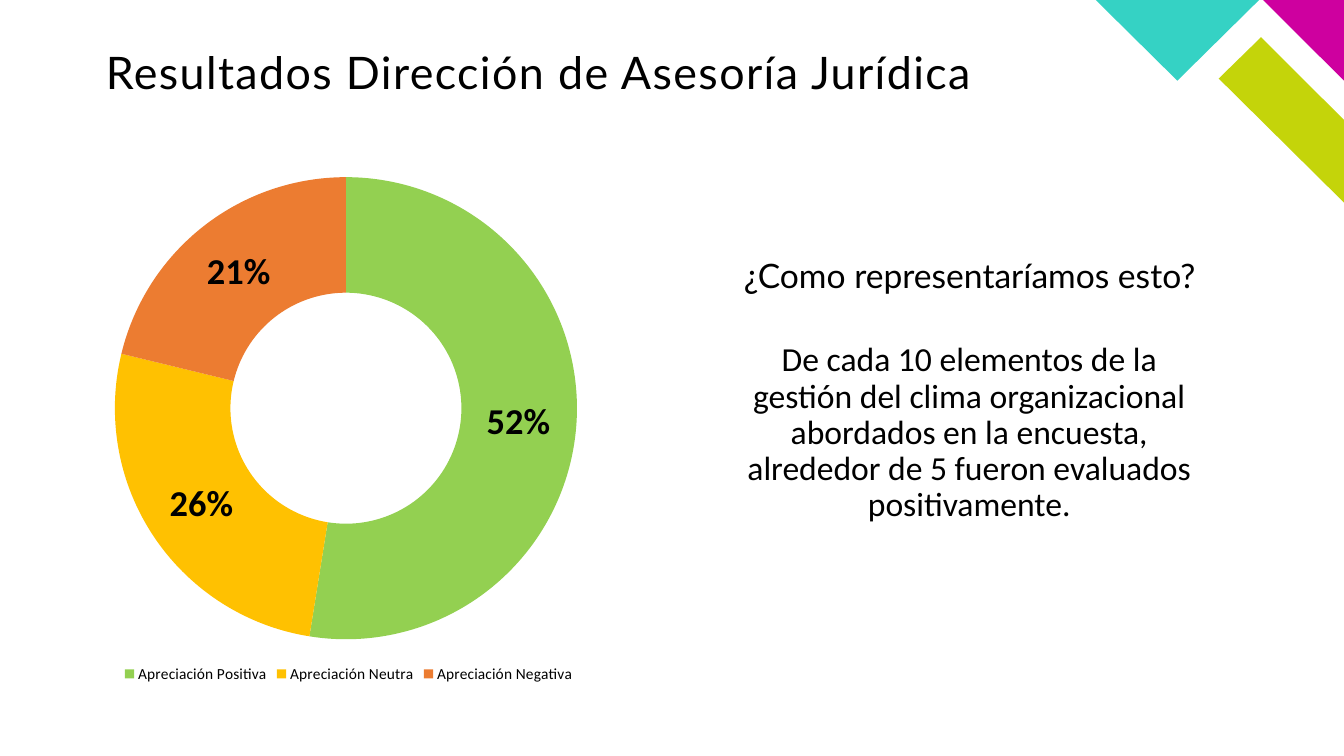
from pptx import Presentation
from pptx import util as u
from pptx.chart import data
from pptx.dml import color
from pptx.enum import chart as kinds, text

WIDE, HIGH = u.Inches(13.333), u.Inches(7.5)
INK = {"black": "000000", "teal": "35D2C4", "pink": "CE009F", "lime": "C4D40A",
       "good": "93D051", "mid": "FFC101", "bad": "EC7C31"}

# Corner bands, as points in percent of the slide's width and height
BANDS = [
    ("lime", [(100, 26.8), (100, 15.87), (93.83, 4.93), (90.68, 10.4)]),
    ("pink", [(100, 10.67), (100, 0), (93.98, 0)]),
    ("teal", [(81.53, 0), (87.6, 10.67), (93.68, 0)]),
]

# Label, share and colour of each ring part
PARTS = [
    ("Apreciación Positiva", 0.52, "good"),
    ("Apreciación Neutra", 0.26, "mid"),
    ("Apreciación Negativa", 0.21, "bad"),
]


def spot(x, y):
    """Turn percents of the slide into lengths."""
    return int(WIDE * x / 100), int(HIGH * y / 100)


def paint(fill, name):
    fill.solid()
    fill.fore_color.rgb = color.RGBColor.from_string(INK[name])


def style(font, face, size, bold=False):
    font.name, font.size, font.bold = face, u.Pt(size), bold
    font.color.rgb = color.RGBColor.from_string(INK["black"])


def band(slide, name, points):
    first, *rest = [spot(*point) for point in points]
    pen = slide.shapes.build_freeform(*first)
    pen.add_line_segments(rest, close=True)
    shape = pen.convert_to_shape()
    shape.shadow.inherit = False
    paint(shape.fill, name)
    shape.line.fill.background()


def words(slide, area, line, face, size, align, anchor, inset=None, gap=None):
    box = slide.shapes.add_textbox(*spot(*area[:2]), *spot(*area[2:]))
    frame = box.text_frame
    frame.word_wrap = True
    frame.vertical_anchor = anchor
    if inset is not None:
        frame.margin_left = frame.margin_right = inset
        frame.margin_top = frame.margin_bottom = inset
    para = frame.paragraphs[0]
    para.alignment = align
    para.line_spacing = 0.9
    run = para.add_run()
    run.text = line
    style(run.font, face, size)
    if gap:
        run.font._element.set("spc", str(gap))


def ring(slide, area):
    table = data.CategoryChartData(number_format="0%")
    table.categories = [label for label, _, _ in PARTS]
    table.add_series("Apreciación", [share for _, share, _ in PARTS])
    chart = slide.shapes.add_chart(
        kinds.XL_CHART_TYPE.DOUGHNUT, *spot(*area[:2]), *spot(*area[2:]), table).chart
    chart.has_title = False
    style(chart.font, "Calibri", 18)

    # Legend
    chart.has_legend = True
    chart.legend.position = kinds.XL_LEGEND_POSITION.BOTTOM
    chart.legend.include_in_layout = False
    style(chart.legend.font, "Calibri", 11)

    # Ring parts and their labels
    plot = chart.plots[0]
    for place, (_, _, name) in enumerate(PARTS):
        look = plot.series[0].points[place].format
        paint(look.fill, name)
        look.line.fill.background()
    plot.has_data_labels = True
    marks = plot.data_labels
    marks.show_value, marks.show_percentage = True, False
    marks.number_format, marks.number_format_is_linked = "0%", False
    style(marks.font, "Calibri", 26, True)


def main():
    deck = Presentation()
    deck.slide_width, deck.slide_height = WIDE, HIGH
    slide = deck.slides.add_slide(deck.slide_layouts[6])

    # Corner
    for name, points in BANDS:
        band(slide, name, points)

    # Title
    left, mid = text.PP_ALIGN.LEFT, text.PP_ALIGN.CENTER
    top, half = text.MSO_ANCHOR.TOP, text.MSO_ANCHOR.MIDDLE
    words(slide, (7.88, 6.67, 75, 8.93), "Resultados Dirección de Asesoría Jurídica",
          "Lato", 32, left, top, inset=0, gap=100)

    # Question and answer
    words(slide, (53.85, 40.93, 36.53, 32.8),
          "De cada 10 elementos de la gestión del clima organizacional abordados "
          "en la encuesta, alrededor de 5 fueron evaluados positivamente.",
          "Calibri", 24, mid, half)
    words(slide, (53.4, 30.93, 37.5, 11.6), "¿Como representaríamos esto?",
          "Lato", 24, mid, half)

    # Chart
    ring(slide, (6.45, 21.6, 39, 69.33))
    deck.save("out.pptx")


if __name__ == "__main__":
    main()
